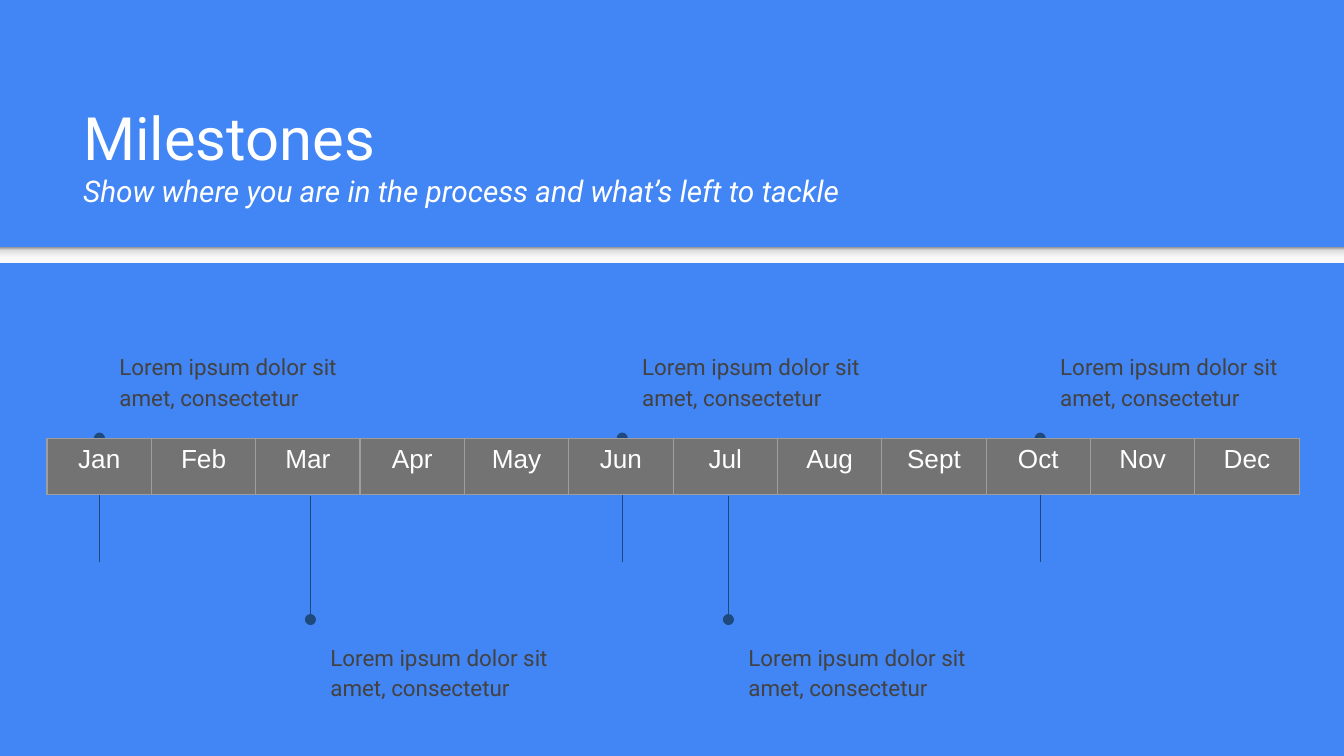
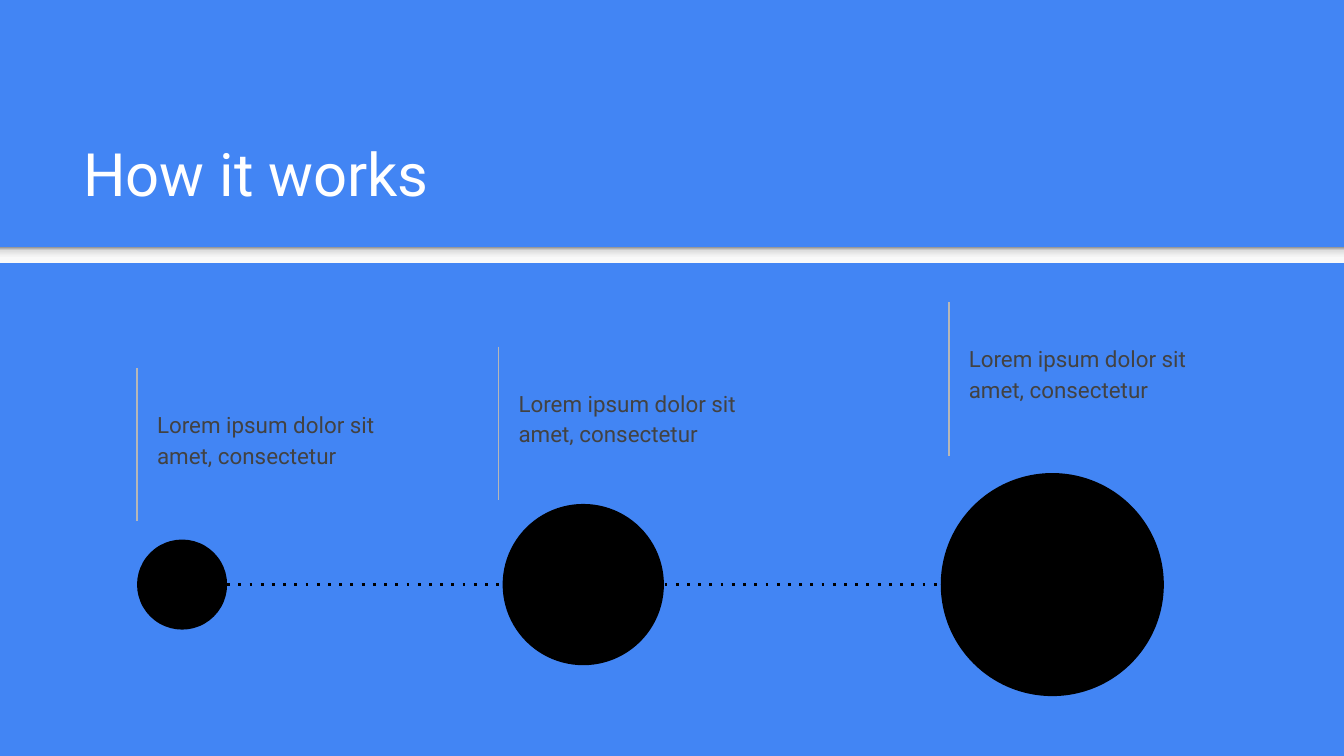
from lxml.etree import SubElement
from pptx import Presentation
from pptx.dml.color import RGBColor
from pptx.enum.shapes import MSO_CONNECTOR, MSO_SHAPE
from pptx.enum.text import MSO_ANCHOR, PP_ALIGN
from pptx.oxml.ns import qn
from pptx.util import Inches, Pt

BLUE = RGBColor(0x42, 0x85, 0xF4)
WHITE = RGBColor(0xFF, 0xFF, 0xFF)
BLACK = RGBColor(0x00, 0x00, 0x00)
NAVY = RGBColor(0x1F, 0x49, 0x7D)
CHARCOAL = RGBColor(0x42, 0x42, 0x42)
MONTH_GREY = RGBColor(0x73, 0x73, 0x73)
BORDER_GREY = RGBColor(0x9E, 0x9E, 0x9E)
RULE_GREY = RGBColor(0xB7, 0xB7, 0xB7)
BAND_STOPS = [
    (0, RGBColor(0xF9, 0xF9, 0xF9)),
    (36, RGBColor(0xF9, 0xF9, 0xF9)),
    (80, RGBColor(0xDE, 0xDE, 0xDE)),
    (100, RGBColor(0x99, 0x99, 0x99)),
]

HEADING_FONT = "Roboto"
MONTH_FONT = "Arial"
SLIDE_WIDTH = 10
SLIDE_HEIGHT = SLIDE_WIDTH * 9 / 16
CAPTION = "Lorem ipsum dolor sit amet, consectetur"
MONTHS = ["Jan", "Feb", "Mar", "Apr", "May", "Jun",
          "Jul", "Aug", "Sept", "Oct", "Nov", "Dec"]
STEM_LENGTH = 0.92
RULE_LENGTH = 1.14
CHAIN_Y = 4.35


def add_solid(parent, color):
    fill = SubElement(parent, qn("a:solidFill"))
    SubElement(fill, qn("a:srgbClr"), val=str(color))


def add_run(paragraph, text, size, color, font=HEADING_FONT, italic=None):
    run = paragraph.add_run()
    run.text = text
    run.font.name = font
    run.font.size = Pt(size)
    run.font.italic = italic
    run.font.color.rgb = color


def add_textbox(slide, left, top, width, height, anchor=MSO_ANCHOR.TOP):
    box = slide.shapes.add_textbox(
        Inches(left), Inches(top), Inches(width), Inches(height))
    frame = box.text_frame
    frame.word_wrap = True
    frame.vertical_anchor = anchor
    frame.margin_left = frame.margin_right = Inches(0.1)
    frame.margin_top = frame.margin_bottom = Inches(0.1)
    return frame.paragraphs[0]


def add_shape(shapes, kind, left, top, width, height):
    shape = shapes.add_shape(
        kind, Inches(left), Inches(top), Inches(width), Inches(height))
    shape.shadow.inherit = False
    shape.line.fill.background()
    return shape


def add_band(slide):
    band = add_shape(slide.shapes, MSO_SHAPE.RECTANGLE, 0, 1.84, SLIDE_WIDTH, 0.12)
    band.fill.gradient()
    band.fill.gradient_angle = 90
    stops = band.fill._fill._gradFill.find(qn("a:gsLst"))
    for stop in list(stops):
        stops.remove(stop)
    for percent, color in BAND_STOPS:
        stop = SubElement(stops, qn("a:gs"), pos=str(percent * 1000))
        SubElement(stop, qn("a:srgbClr"), val=str(color))


def add_slide(prs, title, subtitle=None):
    slide = prs.slides.add_slide(prs.slide_layouts[6])
    slide.background.fill.solid()
    slide.background.fill.fore_color.rgb = BLUE
    add_band(slide)
    heading = add_textbox(slide, 0.52, 0.81, 8.99, 0.84, MSO_ANCHOR.BOTTOM)
    add_run(heading, title, 32, WHITE)
    if subtitle:
        heading.add_line_break()
        add_run(heading, subtitle, 16, WHITE, italic=True)
    return slide


def add_line(shapes, start, end, color, width=0.75, dash=None, tail=None):
    line = shapes.add_connector(
        MSO_CONNECTOR.STRAIGHT, *(Inches(value) for value in (*start, *end)))
    line.line.color.rgb = color
    line.line.width = Pt(width)
    outline = line.line._get_or_add_ln()
    if dash:
        SubElement(outline, qn("a:prstDash"), val=dash)
    if tail:
        SubElement(outline, qn("a:tailEnd"), type=tail)
    SubElement(line._element.spPr, qn("a:effectLst"))


def add_caption(slide, left, top):
    caption = add_textbox(slide, left, top, 1.98, 0.63)
    caption.line_spacing = 1.15
    caption.space_after = Pt(16)
    add_run(caption, CAPTION, 12, CHARCOAL)


def add_milestone(slide, x, above):
    if above:
        start, end, caption_top = 3.26 + STEM_LENGTH, 3.26, 2.5
    else:
        start, end, caption_top = 3.69, 3.69 + STEM_LENGTH, 4.66
    add_line(slide.shapes, (x, start), (x, end), NAVY, tail="oval")
    add_caption(slide, x + 0.05, caption_top)


def add_cell_borders(cell):
    properties = cell._tc.get_or_add_tcPr()
    for index, side in enumerate(("lnL", "lnR", "lnT", "lnB")):
        border = SubElement(properties, qn(f"a:{side}"), w=str(Pt(0.75)))
        add_solid(border, BORDER_GREY)
        properties.remove(border)
        properties.insert(index, border)


def add_month_bar(slide):
    width = 9.32
    bar = slide.shapes.add_table(
        1, len(MONTHS), Inches(0.35), Inches(3.26), Inches(width), Inches(0.42)).table
    bar.first_row = False
    bar.horz_banding = False
    for column, month in enumerate(MONTHS):
        bar.columns[column].width = Inches(width / len(MONTHS))
        cell = bar.cell(0, column)
        cell.fill.solid()
        cell.fill.fore_color.rgb = MONTH_GREY
        add_cell_borders(cell)
        label = cell.text_frame.paragraphs[0]
        label.alignment = PP_ALIGN.CENTER
        add_run(label, month, 14, WHITE, MONTH_FONT)


def add_step_note(slide, x, top):
    add_line(slide.shapes, (x, top), (x, top + RULE_LENGTH), RULE_GREY)
    add_caption(slide, x + 0.05, top + 0.19)


def add_circle_chain(slide, circles):
    chain = slide.shapes.add_group_shape().shapes
    first_left, first_size = circles[0]
    add_line(chain, (first_left + first_size, CHAIN_Y), (circles[-1][0], CHAIN_Y),
             BLACK, 1.5, dash="dot")
    for left, size in circles:
        circle = add_shape(
            chain, MSO_SHAPE.OVAL, left, CHAIN_Y - size / 2, size, size)
        circle.fill.solid()
        circle.fill.fore_color.rgb = BLACK


def build_milestones(prs):
    slide = add_slide(prs, "Milestones",
                      "Show where you are in the process and what’s left to tackle")
    for index, x in enumerate((0.74, 2.31, 4.63, 5.42, 7.74)):
        add_milestone(slide, x, above=index % 2 == 0)
    add_month_bar(slide)


def build_how_it_works(prs):
    slide = add_slide(prs, "How it works")
    for x, top in ((1.02, 2.74), (3.71, 2.58), (7.06, 2.25)):
        add_step_note(slide, x, top)
    add_circle_chain(slide, [(1.02, 0.67), (3.74, 1.2), (7, 1.66)])


def main():
    prs = Presentation()
    prs.slide_width = Inches(SLIDE_WIDTH)
    prs.slide_height = Inches(SLIDE_HEIGHT)
    build_milestones(prs)
    build_how_it_works(prs)
    prs.save("out.pptx")


if __name__ == "__main__":
    main()
